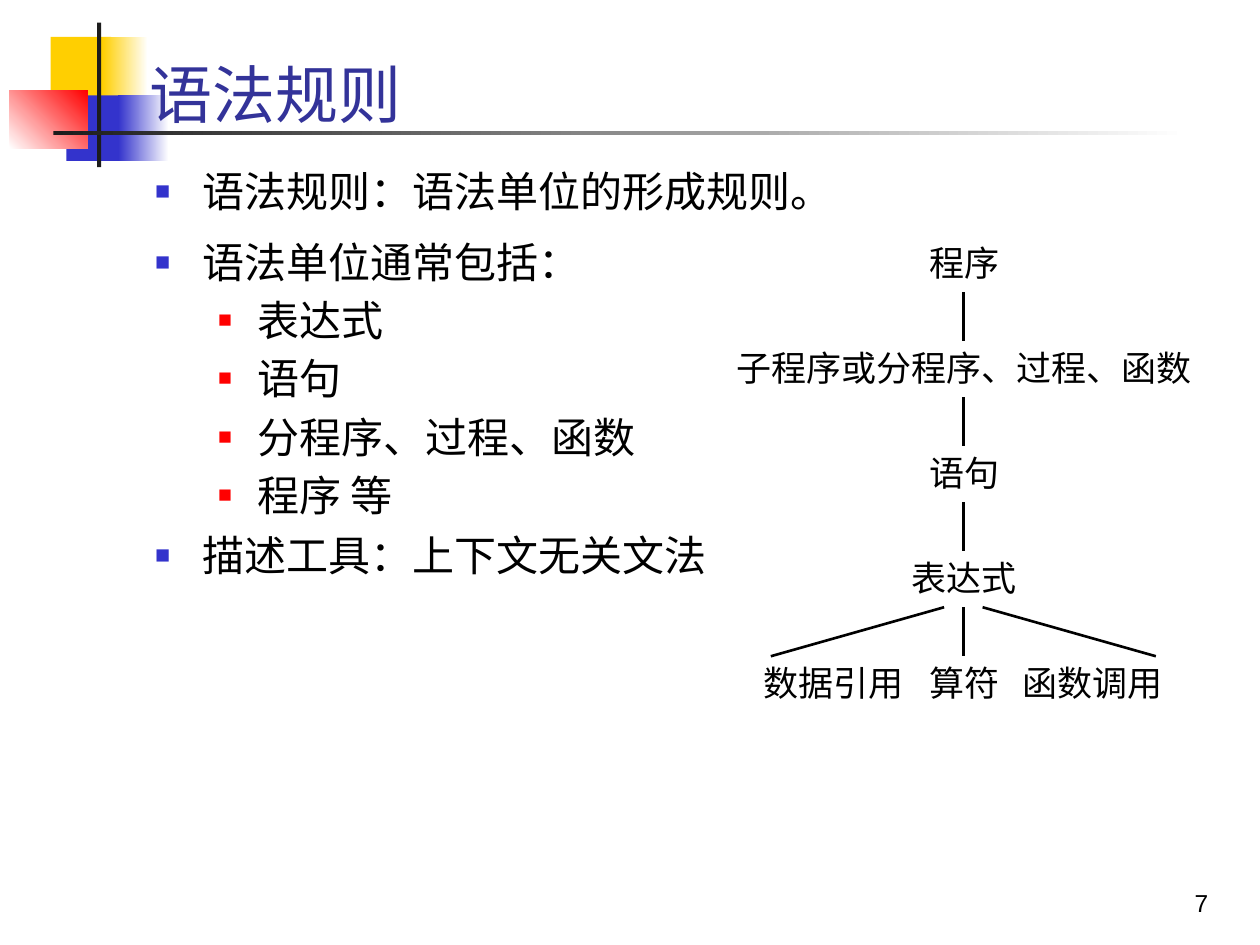
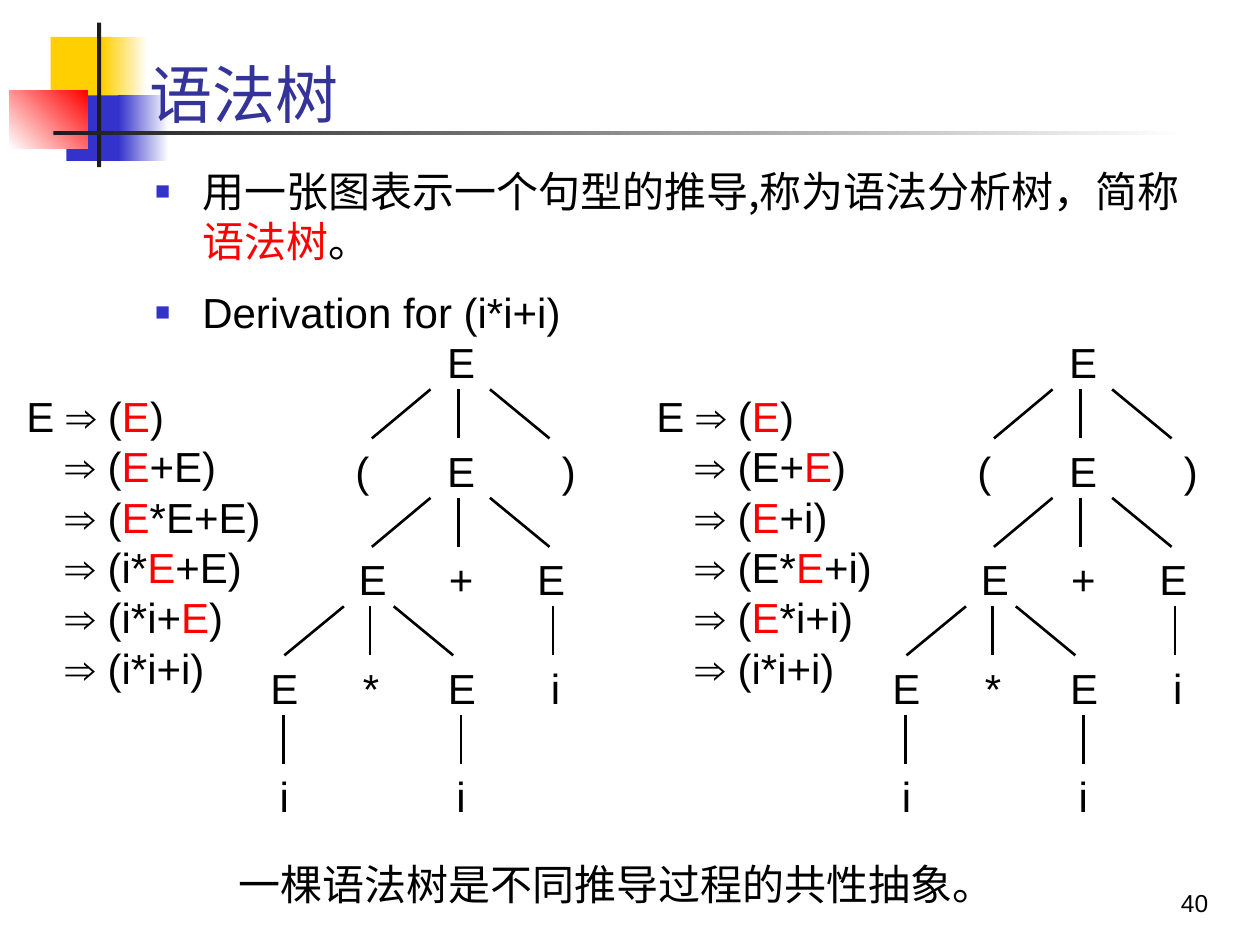
import pptx
import pptx.dml.color
import pptx.enum.shapes
import pptx.enum.text
import pptx.oxml.ns
import pptx.util
from lxml import etree

Pt = pptx.util.Pt
ALIGN = pptx.enum.text.PP_ALIGN
ANCHOR = pptx.enum.text.MSO_ANCHOR
HAN = "Noto Sans CJK SC"
LATIN = "Arial"
COLOURS = {
    "text": "000000",
    "title": "333399",
    "red": "FF0000",
    "blue": "3333CC",
    "yellow": "FFCF01",
    "bar": "1C1C1C",
    "white": "FFFFFF",
}
BULLETS = {
    0: dict(indent=27, hanging=27, bullet=("blue", 60), before=5.8, line=28.5),
    1: dict(indent=58.5, hanging=22.5, bullet=("red", 55), before=4.8, line=28.5),
}
BANDS = [
    ((29, 21, 34.5, 37.5), ["yellow"], 0),
    ((58.5, 21, 26, 37.5), ["yellow", "white"], 0),
    ((38, 54.5, 33, 37.5), ["blue"], 0),
    ((67.5, 54.5, 29, 37.5), ["blue", "white"], 0),
    ((5.5, 51.5, 44.5, 33.5), ["white", "red"], 45),
    ((55.5, 13, 2.3, 82.5), ["bar"], 0),
    ((30.5, 75, 648, 2.3), ["bar", "white"], 0),
]
UNITS = ["程序", "子程序或分程序、过程、函数", "语句", "表达式"]
PARTS = [("数据引用", 476.5), ("算符", 551), ("函数调用", 624.5)]
UNIT_TOP, UNIT_STEP, UNIT_X = 135, 60, 550.5
TREE_NODES = [
    (0, [("E", 263.5)]),
    (1, [("(", 207), ("E", 263.5), (")", 325)]),
    (2, [("E", 213), ("+", 263.5), ("E", 315)]),
    (3, [("E", 162.5), ("*", 212), ("E", 264), ("i", 317.5)]),
    (4, [("i", 162.5), ("i", 263.5)]),
]
TREE_BRANCHES = [
    (0, [(262, 262), (246, 212.5), (280, 314)]),
    (1, [(262, 262), (246, 212.5), (280, 314)]),
    (2, [(211.5, 211.5), (196.5, 162.5), (225, 259), (316, 316)]),
    (3, [(162, 162), (263.5, 263.5)]),
]
TREE_TOP, TREE_STEP, BRANCH = 194.5, 62, 28
LEFT_STEPS = ["([E])", "([E]+E)", "([E]*E+E)", "(i*[E]+E)", "(i*i+[E])", "(i*i+i)"]
RIGHT_STEPS = ["([E])", "(E+[E])", "([E]+i)", "(E*[E]+i)", "([E]*i+i)", "(i*i+i)"]


def colour(name):
    """Return the named colour."""
    return pptx.dml.color.RGBColor.from_string(COLOURS[name])


def add_child(parent, tag, **attributes):
    """Append a drawing element with the given attributes."""
    child = etree.SubElement(parent, pptx.oxml.ns.qn(tag))
    for key, value in attributes.items():
        child.set(key, str(value))
    return child


def add_box(page, left, top, width, height, anchor=ANCHOR.TOP, wrap=True):
    """Add an empty text box and return its text frame."""
    frame = page.shapes.add_textbox(Pt(left), Pt(top), Pt(width), Pt(height)).text_frame
    frame.word_wrap = wrap
    frame.vertical_anchor = anchor
    return frame


def write(frame, text, size=24, face=HAN, tone="text", align=ALIGN.LEFT,
          line=None, before=None, after=None, indent=0, hanging=0, bullet=None):
    """Write one paragraph, with the words in square brackets in red."""
    first = not frame.text
    para = frame.paragraphs[0] if first else frame.add_paragraph()
    properties = para._p.get_or_add_pPr()
    properties.set("marL", str(Pt(indent)))
    properties.set("indent", str(-Pt(hanging)))
    if bullet:
        name, percent = bullet
        add_child(add_child(properties, "a:buClr"), "a:srgbClr", val=COLOURS[name])
        add_child(properties, "a:buSzPct", val=percent * 1000)
        add_child(properties, "a:buFont", typeface=LATIN)
        add_child(properties, "a:buChar", char="■")
    para.alignment = align
    if line:
        para.line_spacing = line if line < 2 else Pt(line)
    if before and not first:
        para.space_before = Pt(before)
    if after:
        para.space_after = Pt(after)
    for index, words in enumerate(text.replace("[", "]").split("]")):
        if words:
            span = para.add_run()
            span.text = words
            span.font.size = Pt(size)
            span.font.name = face
            span.font.color.rgb = colour("red" if index % 2 else tone)
            add_child(span._r.get_or_add_rPr(), "a:ea", typeface=face)


def add_band(page, place, tones, angle):
    """Add a rectangle with a plain or a two-tone fill."""
    band = page.shapes.add_shape(
        pptx.enum.shapes.MSO_SHAPE.RECTANGLE, *[Pt(value) for value in place])
    band.shadow.inherit = False
    band.line.fill.background()
    if len(tones) == 1:
        band.fill.solid()
        band.fill.fore_color.rgb = colour(tones[0])
        return
    band.fill.gradient()
    band.fill.gradient_angle = angle
    for stop, tone, position in zip(band.fill.gradient_stops, tones, (0, 1)):
        stop.color.rgb = colour(tone)
        stop.position = position


def add_line(page, start_x, start_y, end_x, end_y):
    """Add a plain black line."""
    line = page.shapes.add_connector(
        pptx.enum.shapes.MSO_CONNECTOR.STRAIGHT,
        Pt(start_x), Pt(start_y), Pt(end_x), Pt(end_y))
    line.line.color.rgb = colour("text")
    line.line.width = Pt(1.5)
    add_child(line._element.spPr, "a:effectLst")


def add_page(deck, title, number):
    """Add a page with the bands, the title and the page number."""
    page = deck.slides.add_slide(deck.slide_layouts[6])
    for place, tones, angle in BANDS:
        add_band(page, place, tones, angle)
    write(add_box(page, 78.5, 18, 618.5, 60.5, ANCHOR.BOTTOM), title,
          size=36, tone="title")
    write(add_box(page, 548, 492, 149.5, 36, ANCHOR.BOTTOM), number,
          size=14, face=LATIN, align=ALIGN.RIGHT)
    return page


def add_body(page):
    """Add the frame of the main list."""
    return add_box(page, 81.5, 91.5, 616.5, 394)


def add_label(page, text, centre, top, width, **style):
    """Add a label centred on a given x."""
    frame = add_box(page, centre - width / 2, top, width, 30, ANCHOR.MIDDLE, False)
    frame.margin_left = frame.margin_right = 0
    frame.margin_top = frame.margin_bottom = 0
    write(frame, text, align=ALIGN.CENTER, **style)


def add_unit_chart(page):
    """Draw the levels of grammar units from program to parts."""
    for level, unit in enumerate(UNITS):
        top = UNIT_TOP + level * UNIT_STEP
        add_label(page, unit, 551, top, 290, size=20)
        add_line(page, UNIT_X, top + 32, UNIT_X, top + 60)
    for part, centre in PARTS:
        add_label(page, part, centre, UNIT_TOP + len(UNITS) * UNIT_STEP, 90, size=20)
    for side in (-1, 1):
        add_line(page, UNIT_X + side * 11, top + 32, UNIT_X + side * 110, top + 60)


def add_derivation(page, left, steps):
    """Write the steps of one derivation."""
    frame = add_box(page, left, 219.5, 190, 185)
    for index, step in enumerate(steps):
        start = "⇒ " if index else "E ⇒ "
        write(frame, start + step, face=LATIN, line=28.8,
              indent=36 if index else 13.5)


def add_tree(page, shift):
    """Draw the syntax tree, moved to the right by the shift."""
    for row, branches in TREE_BRANCHES:
        top = TREE_TOP + row * TREE_STEP + 28
        for start, end in branches:
            add_line(page, start + shift, top, end + shift, top + BRANCH)
    for row, nodes in TREE_NODES:
        for text, centre in nodes:
            add_label(page, text, centre + shift, TREE_TOP + row * TREE_STEP, 34,
                      face=LATIN, line=0.8)


def add_rules_page(deck):
    """Build the page on grammar rules."""
    page = add_page(deck, "语法规则", "7")
    body = add_body(page)
    write(body, "语法规则：语法单位的形成规则。", after=6, **BULLETS[0])
    write(body, "语法单位通常包括：", **BULLETS[0])
    for unit in ("表达式", "语句", "分程序、过程、函数", "程序 等"):
        write(body, unit, **BULLETS[1])
    write(body, "描述工具：上下文无关文法", **BULLETS[0])
    add_unit_chart(page)


def add_tree_page(deck):
    """Build the page on syntax trees."""
    page = add_page(deck, "语法树", "40")
    body = add_body(page)
    write(body, "用一张图表示一个句型的推导,称为语法分析树，简称[语法树]。",
          after=6, **BULLETS[0])
    write(body, "Derivation for (i*i+i)", face=LATIN, after=6, **BULLETS[0])
    for left, shift, steps in ((-5.5, 0, LEFT_STEPS), (354.5, 355.5, RIGHT_STEPS)):
        add_derivation(page, left, steps)
        add_tree(page, shift)
    write(add_box(page, 129.5, 487, 451, 36, ANCHOR.MIDDLE, False),
          "一棵语法树是不同推导过程的共性抽象。")


def main():
    """Build and save the deck."""
    deck = pptx.Presentation()
    deck.slide_width, deck.slide_height = Pt(720), Pt(540)
    add_rules_page(deck)
    add_tree_page(deck)
    deck.save("out.pptx")


if __name__ == "__main__":
    main()
